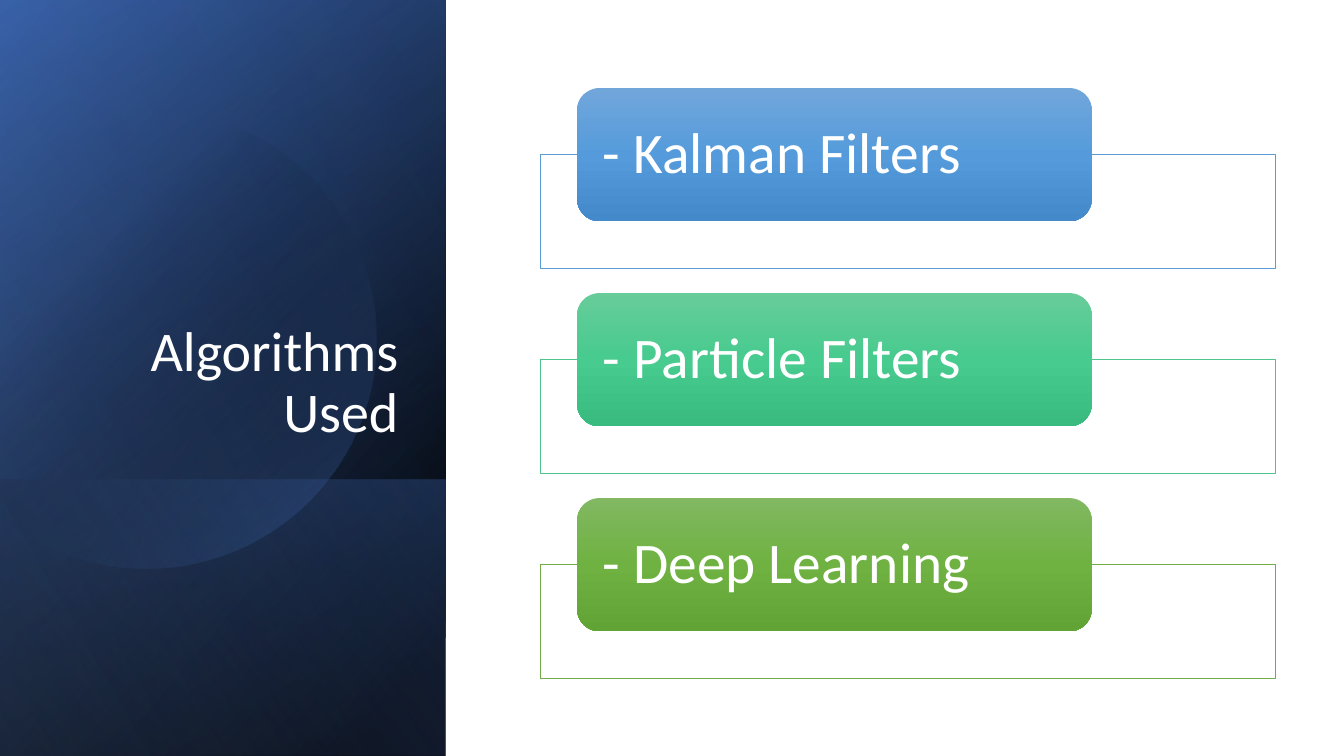
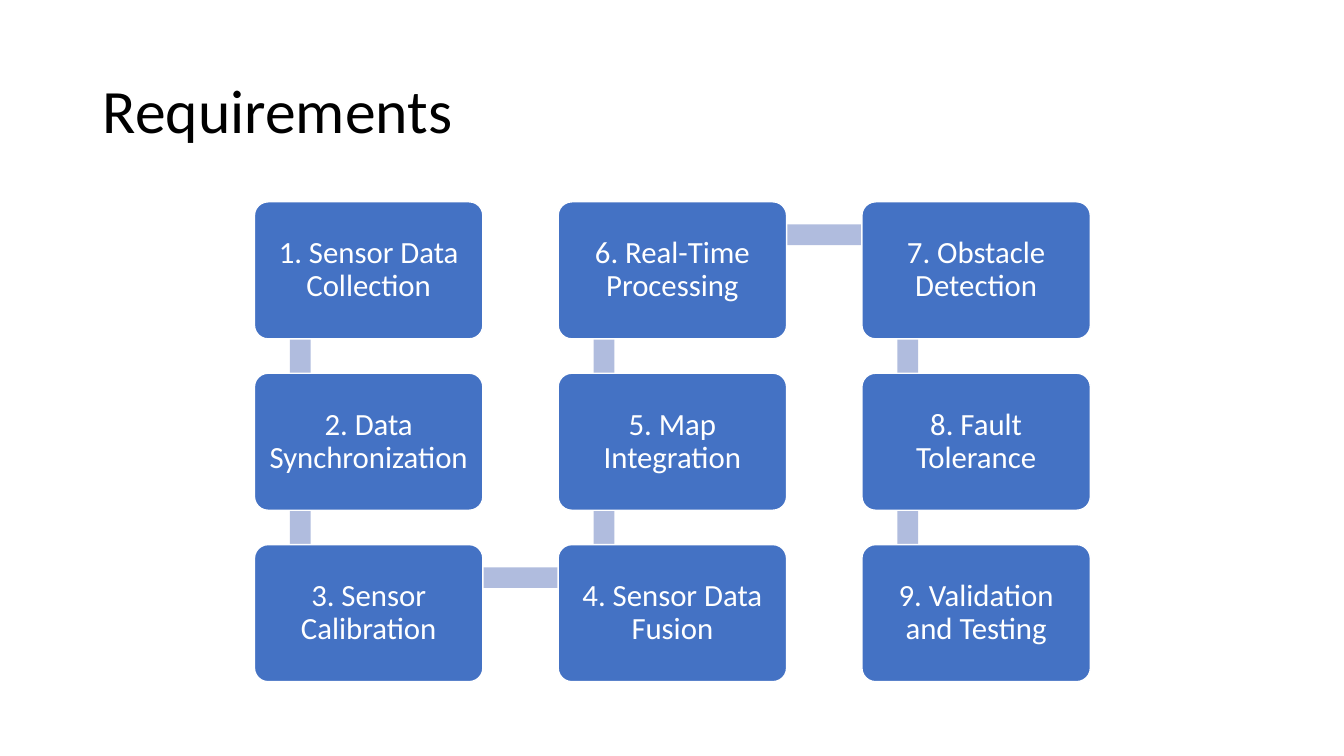
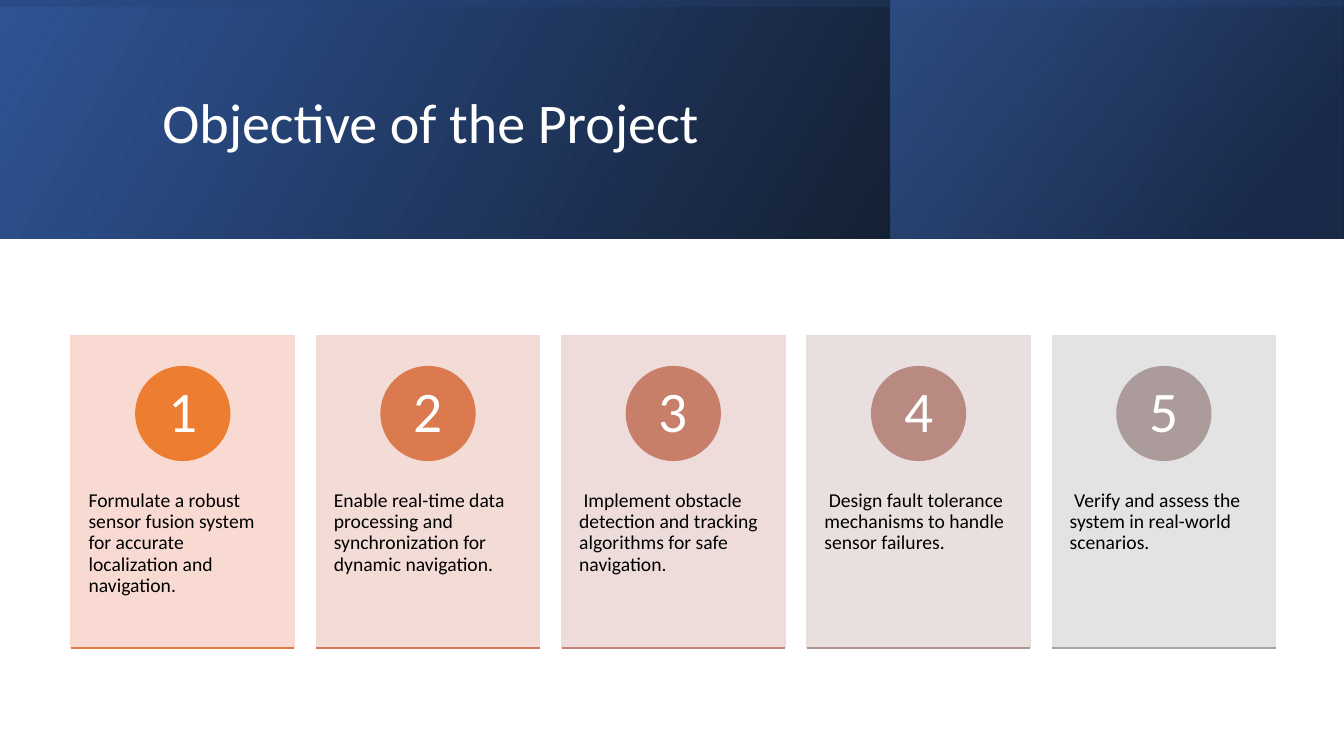
from math import acos, cos, sin

from pptx import Presentation
from pptx.dml.color import RGBColor
from pptx.enum.shapes import MSO_CONNECTOR, MSO_SHAPE
from pptx.enum.text import MSO_ANCHOR, PP_ALIGN
from pptx.oxml import parse_xml
from pptx.oxml.ns import nsdecls, qn
from pptx.util import Inches, Pt

SLIDE_WIDTH, SLIDE_HEIGHT = Inches(13.333), Inches(7.5)
COLUMN, ROW = SLIDE_WIDTH / 100, SLIDE_HEIGHT / 100
FONT = "Calibri"

WHITE = RGBColor(0xFF, 0xFF, 0xFF)
BLACK = RGBColor(0x00, 0x00, 0x00)
BLUE = RGBColor(0x44, 0x72, 0xC4)
DEEP_BLUE = RGBColor(0x2F, 0x55, 0x97)
NAVY = RGBColor(0x20, 0x38, 0x64)
PALE_BLUE = RGBColor(0x8F, 0xAA, 0xDC)
LINK_BLUE = RGBColor(0xB0, 0xBC, 0xDE)
SKY_TONES = [RGBColor(0x71, 0xA6, 0xDB), RGBColor(0x55, 0x9B, 0xDB), RGBColor(0x44, 0x8A, 0xCA)]
MINT_TONES = [RGBColor(0x67, 0xCC, 0x9A), RGBColor(0x47, 0xCB, 0x8E), RGBColor(0x39, 0xBB, 0x7F)]
LEAF_TONES = [RGBColor(0x81, 0xB8, 0x61), RGBColor(0x6F, 0xB2, 0x42), RGBColor(0x62, 0xA3, 0x36)]
SKY_LINE = RGBColor(0x5B, 0x9B, 0xD5)
MINT_LINE = RGBColor(0x4D, 0xC5, 0x8D)
LEAF_LINE = RGBColor(0x70, 0xAD, 0x47)
CARD_FILLS = [RGBColor(0xF8, 0xD7, 0xCE), RGBColor(0xF2, 0xD8, 0xD2), RGBColor(0xED, 0xD9, 0xD7),
              RGBColor(0xE7, 0xDC, 0xDC), RGBColor(0xE1, 0xE1, 0xE1)]
BADGE_FILLS = [RGBColor(0xED, 0x7D, 0x31), RGBColor(0xDA, 0x7A, 0x4E), RGBColor(0xC8, 0x7F, 0x69),
               RGBColor(0xB9, 0x8A, 0x82), RGBColor(0xAB, 0x9B, 0x9A)]
BASELINES = [RGBColor(0xE3, 0x7A, 0x40), RGBColor(0xD1, 0x7B, 0x5C), RGBColor(0xC0, 0x83, 0x76),
             RGBColor(0xB2, 0x92, 0x8E), RGBColor(0xA5, 0xA5, 0xA5)]

ALGORITHMS = [
    ("- Kalman Filters", SKY_TONES, SKY_LINE),
    ("- Particle Filters", MINT_TONES, MINT_LINE),
    ("- Deep Learning", LEAF_TONES, LEAF_LINE),
]
REQUIREMENTS = [
    "1. Sensor Data Collection", "2. Data Synchronization", "3. Sensor Calibration",
    "4. Sensor Data Fusion", "5. Map Integration", "6. Real-Time Processing",
    "7. Obstacle Detection", "8. Fault Tolerance", "9. Validation and Testing",
]
OBJECTIVES = [
    "Formulate a robust sensor fusion system for accurate localization and navigation.",
    "Enable real-time data processing and synchronization for dynamic navigation.",
    " Implement obstacle detection and tracking algorithms for safe navigation.",
    " Design fault tolerance mechanisms to handle sensor failures.",
    " Verify and assess the system in real-world scenarios.",
]


def place(box):
    left, top, width, height = box
    return [round(length) for length in (left * COLUMN, top * ROW, width * COLUMN, height * ROW)]


def write(shape, text, size=14, color=WHITE, align=PP_ALIGN.LEFT,
          anchor=MSO_ANCHOR.MIDDLE, insets=(0.75, 0.67, 0.75, 0.67)):
    frame = shape.text_frame
    frame.word_wrap = True
    frame.vertical_anchor = anchor
    frame.margin_left, frame.margin_top, frame.margin_right, frame.margin_bottom = place(insets)
    paragraph = frame.paragraphs[0]
    paragraph.alignment = align
    paragraph.line_spacing = 0.9
    run = paragraph.add_run()
    run.text = text
    run.font.name = FONT
    run.font.size = Pt(size)
    run.font.color.rgb = color


def add_title(slide, text, box, **style):
    write(slide.shapes.add_textbox(*place(box)), text, **style)


def fill_gradient(shape, stops, angle):
    shape.fill.background()
    properties = shape._element.spPr
    stop_xml = "".join(
        f'<a:gs pos="{position * 1000}"><a:srgbClr val="{color}">'
        f'<a:alpha val="{opacity * 1000}"/></a:srgbClr></a:gs>'
        for position, color, opacity in stops)
    properties.replace(properties.find(qn("a:noFill")), parse_xml(
        f'<a:gradFill {nsdecls("a")} rotWithShape="1"><a:gsLst>{stop_xml}</a:gsLst>'
        f'<a:lin ang="{angle * 60000}" scaled="0"/></a:gradFill>'))


def finish(shape, fill=None, opacity=100, stops=None, angle=90, line=None, line_width=1):
    shape.shadow.inherit = False
    if stops:
        fill_gradient(shape, stops, angle)
    else:
        shape.fill.solid()
        shape.fill.fore_color.rgb = fill
        if opacity < 100:
            color = shape._element.spPr.find(qn("a:solidFill"))[0]
            color.append(parse_xml(f'<a:alpha {nsdecls("a")} val="{opacity * 1000}"/>'))
    if line is None:
        shape.line.fill.background()
    else:
        shape.line.color.rgb = line
        shape.line.width = Pt(line_width)
    return shape


def add_block(slide, preset, box, **look):
    return finish(slide.shapes.add_shape(preset, *place(box)), **look)


def add_panel(slide, box, stops, angle, turn=0):
    left, top, width, height = place(box)
    if turn:
        left, top = left + (width - height) // 2, top + (height - width) // 2
        width, height = height, width
    panel = finish(slide.shapes.add_shape(MSO_SHAPE.RECTANGLE, left, top, width, height),
                   stops=stops, angle=angle)
    panel.rotation = turn
    panel._element.spPr.find(qn("a:xfrm")).set("flipH", "1")


def add_clipped_disc(slide, center, radius, stops, angle):
    center_x, center_y = center[0] * COLUMN, center[1] * ROW
    reach = radius * COLUMN
    limit = acos(-center_x / reach)
    turns = [limit * step / 60 for step in range(-60, 61)]
    rim = [(round(center_x + reach * cos(turn)), round(center_y + reach * sin(turn)))
           for turn in turns]
    outline = slide.shapes.build_freeform(*rim[0], scale=1.0)
    outline.add_line_segments(rim[1:], close=True)
    finish(outline.convert_to_shape(), stops=stops, angle=angle)


def add_rule(slide, left, top, width, color):
    start_x, start_y, length, _ = place((left, top, width, 0))
    rule = slide.shapes.add_connector(MSO_CONNECTOR.STRAIGHT, start_x, start_y,
                                      start_x + length, start_y)
    rule.line.color.rgb = color
    rule.line.width = Pt(1)
    rule._element.spPr.append(parse_xml(f'<a:effectLst {nsdecls("a")}/>'))


def build_algorithms(slide):
    sidebar = (0, 0, 33.15, 100)
    add_panel(slide, sidebar, [(8, BLACK, 100), (100, DEEP_BLUE, 100)], 50, turn=90)
    add_panel(slide, sidebar, [(0, BLACK, 0), (99, BLUE, 46)], 30, turn=90)
    add_panel(slide, (0, 63.47, 33.15, 36.53), [(2, BLUE, 29), (100, BLACK, 30)], 130, turn=90)
    add_clipped_disc(slide, (10.88, 44.8), 17.1, [(29, BLACK, 0), (100, BLUE, 43)], 45)
    add_panel(slide, sidebar, [(0, BLACK, 0), (99, PALE_BLUE, 11)], 120, turn=90)
    add_title(slide, "Algorithms Used", (4.8, 24.53, 25.58, 34.93), size=40,
              align=PP_ALIGN.RIGHT, anchor=MSO_ANCHOR.BOTTOM)
    for index, (name, tones, line) in enumerate(ALGORITHMS):
        drop = index * 27.12
        add_block(slide, MSO_SHAPE.RECTANGLE, (40.2, 20.45 + drop, 54.68, 15.07),
                  fill=WHITE, opacity=90, line=line, line_width=0.5)
        stops = [(position, tone, 100) for position, tone in zip((0, 50, 100), tones)]
        tab = add_block(slide, MSO_SHAPE.ROUNDED_RECTANGLE, (42.95, 11.65 + drop, 38.28, 17.6),
                        stops=stops)
        write(tab, name, size=41, insets=(1.43, 0, 1.43, 0))


def build_requirements(slide):
    add_title(slide, "Requirements", (6.9, 5.33, 86.25, 19.33), size=44, color=BLACK)
    column_step, row_step = 22.6, 22.67
    spots = []
    for index in range(len(REQUIREMENTS)):
        column, row = divmod(index, 3)
        row = 2 - row if column % 2 else row
        spots.append((18.93 + column * column_step, 26.7 + row * row_step))
    for (left, top), (next_left, next_top) in zip(spots, spots[1:]):
        if left == next_left:
            link = (left + 2.65, min(top, next_top) + 4.47, 1.53, row_step)
        else:
            link = (left + 3.45, top + 3.0, column_step, 2.72)
        add_block(slide, MSO_SHAPE.RECTANGLE, link, fill=LINK_BLUE)
    for requirement, spot in zip(REQUIREMENTS, spots):
        step = add_block(slide, MSO_SHAPE.ROUNDED_RECTANGLE, (*spot, 17, 18.13),
                         fill=BLUE, line=WHITE)
        step.adjustments[0] = 0.1
        write(step, requirement, size=22, align=PP_ALIGN.CENTER, insets=(0.65, 1.2, 0.65, 1.2))


def build_objectives(slide):
    band = (0, 0, 100, 31.6)
    add_panel(slide, band, [(0, BLACK, 96), (100, DEEP_BLUE, 100)], 330)
    add_panel(slide, (66.3, 0, 33.65, 31.6), [(19, NAVY, 68), (100, BLUE, 48)], 320)
    add_panel(slide, band, [(23, DEEP_BLUE, 16), (99, BLACK, 45)], 350, turn=270)
    add_title(slide, "Objective of the Project", (11.33, 5.07, 79.73, 22.93), size=40)
    width, badge_width = 16.62, 6.98
    looks = zip(OBJECTIVES, CARD_FILLS, BADGE_FILLS, BASELINES)
    for index, (objective, card_fill, badge_fill, baseline) in enumerate(looks):
        left = 5.29 + index * 18.25
        card = add_block(slide, MSO_SHAPE.RECTANGLE, (left, 44.35, width, 41.33),
                         fill=card_fill, opacity=90, line=card_fill)
        write(card, objective, color=BLACK, anchor=MSO_ANCHOR.TOP,
              insets=(1.3, 20.53, 1.3, 5.6))
        badge = add_block(slide, MSO_SHAPE.OVAL,
                          (left + (width - badge_width) / 2, 48.5, badge_width, 12.4),
                          fill=badge_fill, line=badge_fill)
        write(badge, str(index + 1), size=41, align=PP_ALIGN.CENTER,
              insets=(0.55, 0.13, 0.55, 0.13))
        add_rule(slide, left, 85.7, width, baseline)


def main():
    deck = Presentation()
    deck.slide_width, deck.slide_height = SLIDE_WIDTH, SLIDE_HEIGHT
    for build in (build_algorithms, build_requirements, build_objectives):
        build(deck.slides.add_slide(deck.slide_layouts[6]))
    deck.save("out.pptx")


main()
